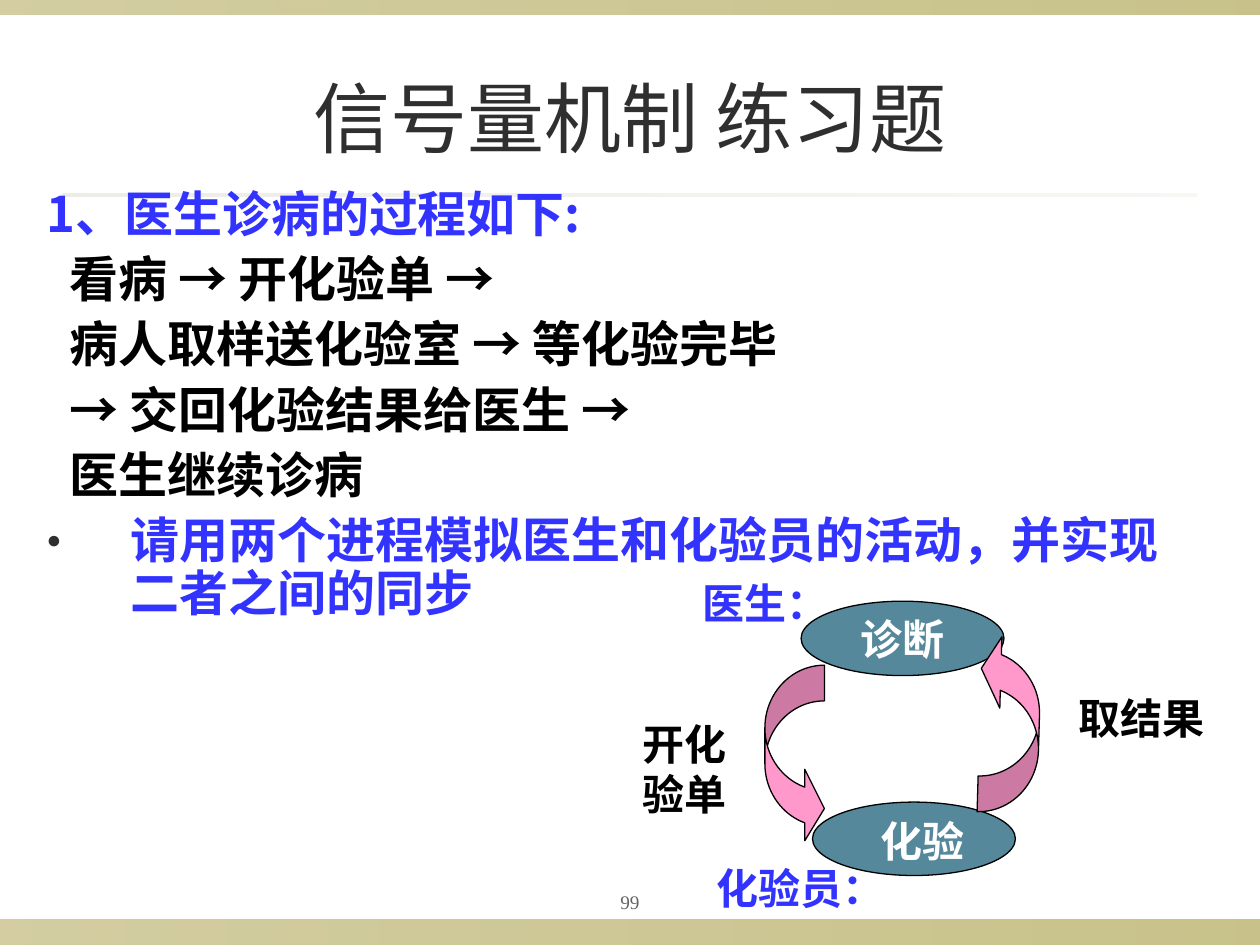
from dataclasses import dataclass

from lxml.etree import SubElement
from pptx import Presentation
from pptx.dml.color import RGBColor
from pptx.enum.shapes import MSO_SHAPE
from pptx.enum.text import MSO_ANCHOR, MSO_AUTO_SIZE, PP_ALIGN
from pptx.oxml.ns import qn
from pptx.util import Cm, Pt

CJK, TIMES, ARIAL = "Noto Sans CJK SC", "Times New Roman", "Arial"
BLUE, BLACK, WHITE, GREY = "3333FF", "000000", "FFFFFF", "2F2F2F"
TEAL, PINK = "55889B", "FF99CC"


@dataclass
class Box:
    left: float
    top: float
    width: float
    height: float

    def place(self) -> tuple:
        return Cm(self.left), Cm(self.top), Cm(self.width), Cm(self.height)


@dataclass
class Style:
    size: float
    color: str
    font: str = TIMES
    bold: bool = True


@dataclass
class Band:
    box: Box
    color: str
    alphas: tuple


@dataclass
class Label:
    box: Box
    text: str
    style: Style
    wrap: bool = False
    center: bool = False
    middle: bool = False


@dataclass
class Line:
    text: str
    color: str = BLACK
    margin: float = 0.47
    indent: float = 0
    bullet: bool = False


@dataclass
class Arrow:
    box: Box
    turn: float


BANDS = [
    Band(Box(0, 18.54, 25.4, 0.51), "918415", (40, 50)),
    Band(Box(0, 0, 25.4, 0.3), "918415", (40, 50)),
    Band(Box(1.27, 3.91, 22.86, 0.05), "DCD9CC", (50, 20)),
]
LINES = [
    Line("1、医生诊病的过程如下:", BLUE, 1.7, -1.7),
    Line("看病 → 开化验单 →"),
    Line("病人取样送化验室 → 等化验完毕"),
    Line("→ 交回化验结果给医生 →"),
    Line("医生继续诊病"),
    Line("请用两个进程模拟医生和化验员的活动，并实现二者之间的同步",
         BLUE, 1.7, -1.7, True),
]
OVALS = [Box(16.15, 12.12, 4.09, 1.5), Box(16.38, 16.17, 4.09, 1.48)]
ARROWS = [Arrow(Box(15.42, 13.41, 1.2, 3.61), 0),
          Arrow(Box(19.75, 12.77, 1.2, 3.61), 181.7)]
DARK, LIGHT, NOTE = (Style(24, tone) for tone in (BLACK, WHITE, BLUE))
LABELS = [
    Label(Box(17.5, 16.31, 2.4, 1.27), "化验", LIGHT),
    Label(Box(12.7, 14.35, 2.59, 2.29), "开化验单", DARK, wrap=True),
    Label(Box(21.49, 13.84, 3.1, 1.27), "取结果", DARK),
    Label(Box(13.92, 11.51, 3.1, 1.27), "医生：", NOTE),
    Label(Box(14.2, 17.27, 3.95, 1.27), "化验员：", NOTE),
    Label(Box(11.43, 17.78, 2.54, 0.79), "99",
          Style(11, "636363", bold=False), True, True, True),
    Label(Box(1.27, 0.76, 22.86, 3.18), "信号量机制 练习题",
          Style(44, GREY, "Lato", False), True, True, True),
]


def paint(target, color: str) -> None:
    target.rgb = RGBColor.from_string(color)


def add_run(para, text: str, style: Style) -> None:
    run = para.add_run()
    run.text = text
    run.font.size, run.font.bold = Pt(style.size), style.bold
    run.font.name = style.font
    paint(run.font.color, style.color)
    SubElement(run.font._element, qn("a:ea"), typeface=CJK)


def add_shape(slide, kind, box: Box, color: str):
    shape = slide.shapes.add_shape(kind, *box.place())
    shape.shadow.inherit = False
    shape.fill.solid()
    paint(shape.fill.fore_color, color)
    paint(shape.line.color, BLACK)
    shape.line.width = Pt(0.75)
    return shape


def add_band(slide, band: Band) -> None:
    shape = add_shape(slide, MSO_SHAPE.RECTANGLE, band.box, band.color)
    shape.line.fill.background()
    shape.fill.gradient()
    shape.fill.gradient_angle = 0
    for stop in shape.fill.gradient_stops:
        paint(stop.color, band.color)
    tones = list(shape._element.spPr.iter(qn("a:srgbClr")))
    for tone, alpha in zip(tones, band.alphas):
        SubElement(tone, qn("a:alpha"), val=str(alpha * 1000))


def add_label(slide, label: Label) -> None:
    frame = slide.shapes.add_textbox(*label.box.place()).text_frame
    frame.word_wrap = label.wrap
    if label.middle:
        frame.vertical_anchor = MSO_ANCHOR.MIDDLE
    else:
        frame.auto_size = MSO_AUTO_SIZE.SHAPE_TO_FIT_TEXT
    para = frame.paragraphs[0]
    if label.center:
        para.alignment = PP_ALIGN.CENTER
    add_run(para, label.text, label.style)


def add_line(para, line: Line, first: bool) -> None:
    props = para._p.get_or_add_pPr()
    props.set("marL", str(Cm(line.margin)))
    props.set("indent", str(Cm(line.indent)))
    if line.bullet:
        tint = SubElement(props, qn("a:buClr"))
        SubElement(tint, qn("a:srgbClr"), val=GREY)
        SubElement(props, qn("a:buSzPct"), val="50000")
        SubElement(props, qn("a:buFont"), typeface=ARIAL)
        SubElement(props, qn("a:buChar"), char="●")
    para.line_spacing = 0.9
    if not first:
        para.space_before = Pt(7)
    # Arrows take their own font
    head, *rest = line.text.split("→")
    if head:
        add_run(para, head, Style(28, line.color, CJK))
    for part in rest:
        words = part.lstrip()
        gap = part[:len(part) - len(words)]
        add_run(para, "→" + gap, Style(28, line.color, ARIAL))
        if words:
            add_run(para, words, Style(28, line.color, CJK))


def add_body(slide, box: Box) -> None:
    frame = slide.shapes.add_textbox(*box.place()).text_frame
    frame.word_wrap = True
    for i, line in enumerate(LINES):
        para = frame.add_paragraph() if i else frame.paragraphs[0]
        add_line(para, line, i == 0)


def add_arrow(slide, arrow: Arrow) -> None:
    shape = add_shape(slide, MSO_SHAPE.CURVED_RIGHT_ARROW, arrow.box, PINK)
    shape.rotation = arrow.turn
    for i, ratio in enumerate((0.6, 1.2, 0.33)):
        shape.adjustments[i] = ratio


def main() -> None:
    deck = Presentation()
    deck.slide_width, deck.slide_height = Cm(25.4), Cm(19.05)
    slide = deck.slides.add_slide(deck.slide_layouts[6])
    # Bands and body text
    for band in BANDS:
        add_band(slide, band)
    add_body(slide, Box(0.69, 3.71, 23.01, 9.6))
    # Cycle of doctor and lab
    top, _ = [add_shape(slide, MSO_SHAPE.OVAL, box, TEAL) for box in OVALS]
    frame = top.text_frame
    frame.word_wrap = False
    frame.vertical_anchor = MSO_ANCHOR.MIDDLE
    frame.paragraphs[0].alignment = PP_ALIGN.CENTER
    add_run(frame.paragraphs[0], "诊断", LIGHT)
    for arrow in ARROWS:
        add_arrow(slide, arrow)
    # Labels, page number and title
    for label in LABELS:
        add_label(slide, label)
    deck.save("out.pptx")


if __name__ == "__main__":
    main()
